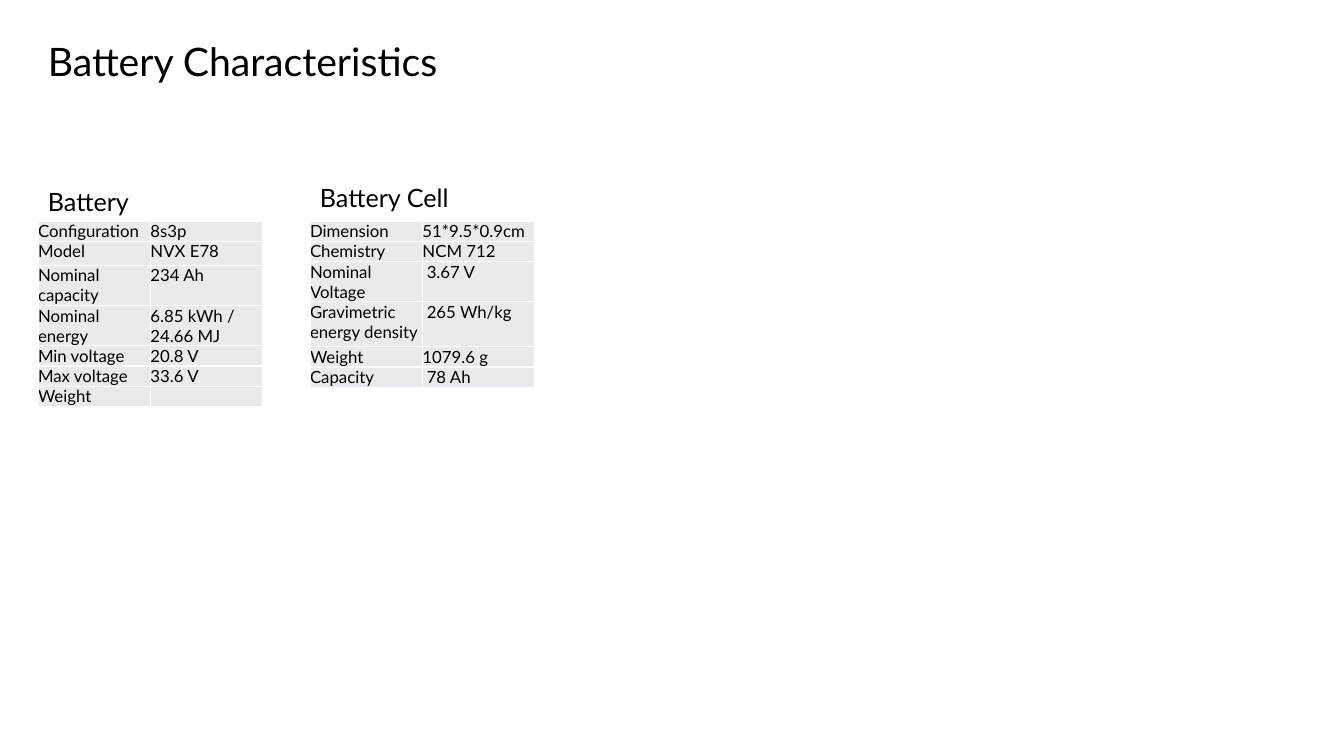
from lxml import etree
from pptx import Presentation
from pptx.dml.color import RGBColor
from pptx.enum.text import MSO_AUTO_SIZE
from pptx.oxml.ns import qn
from pptx.util import Emu, Pt

FIT_SHAPE = MSO_AUTO_SIZE.SHAPE_TO_FIT_TEXT
BLACK = RGBColor(0x00, 0x00, 0x00)
WHITE = RGBColor(0xFF, 0xFF, 0xFF)
CELL_GREY = RGBColor(0xE8, 0xEA, 0xED)

EMU_PER_PX = 914400 / 100.8
BATTERY_LEFT, CELL_LEFT = 38, 310
TABLE_TOP, TABLE_WIDTH = 221, 225

BATTERY_ROWS = [
    (20, "Configuration", "8s3p"),
    (24, "Model", "NVX E78"),
    (40, "Nominal capacity", "234 Ah"),
    (40, "Nominal energy", "6.85 kWh / 24.66 MJ"),
    (20, "Min voltage", "20.8 V"),
    (20, "Max voltage", "33.6 V"),
    (20, "Weight", ""),
]
CELL_ROWS = [
    (20, "Dimension", "51*9.5*0.9cm"),
    (20, "Chemistry", "NCM 712"),
    (40, "Nominal Voltage", " 3.67 V"),
    (45, "Gravimetric energy density", " 265 Wh/kg"),
    (20, "Weight", "1079.6 g"),
    (20, "Capacity", " 78 Ah"),
]


def px(length):
    return Emu(round(length * EMU_PER_PX))


class SlideBuilder:
    font_name = "Lato"
    table_size = 12

    def __init__(self, slide):
        self.slide = slide

    def style(self, paragraph, size):
        paragraph.font.name = self.font_name
        paragraph.font.size = Pt(size)
        paragraph.font.color.rgb = BLACK

    def heading(self, text, left, top, width, height, size):
        box = self.slide.shapes.add_textbox(px(left), px(top), px(width), px(height))
        frame = box.text_frame
        frame.word_wrap = True
        frame.auto_size = FIT_SHAPE
        frame.text = text
        self.style(frame.paragraphs[0], size)

    def borders(self, cell):
        """Give all four sides of the cell a thin white line."""
        properties = cell._tc.get_or_add_tcPr()
        for side in ("a:lnL", "a:lnR", "a:lnT", "a:lnB"):
            line = etree.SubElement(properties, qn(side), w=str(Pt(1)))
            fill = etree.SubElement(line, qn("a:solidFill"))
            etree.SubElement(fill, qn("a:srgbClr"), val=str(WHITE))

    def table_cell(self, cell, text):
        cell.margin_left = cell.margin_right = cell.margin_top = cell.margin_bottom = 0
        self.borders(cell)
        cell.fill.solid()
        cell.fill.fore_color.rgb = CELL_GREY
        cell.text = text
        paragraph = cell.text_frame.paragraphs[0]
        if not text:
            # An empty cell takes its line height from the paragraph end mark.
            paragraph._p.get_or_add_endParaRPr().set("sz", str(self.table_size * 100))
        self.style(paragraph, self.table_size)

    def table(self, rows, left, top, width):
        """Draw rows given as (height, label, value)."""
        total_height = sum(height for height, *_ in rows)
        table = self.slide.shapes.add_table(
            len(rows), 2, px(left), px(top), px(width), px(total_height)
        ).table
        table.first_row = False
        table.horz_banding = False
        for row, (height, *texts) in zip(table.rows, rows):
            row.height = px(height)
            for cell, text in zip(row.cells, texts):
                self.table_cell(cell, text)


def main():
    presentation = Presentation()
    presentation.slide_width = px(1344)
    presentation.slide_height = px(756)
    blank = presentation.slide_layouts[6]
    builder = SlideBuilder(presentation.slides.add_slide(blank))

    builder.table(BATTERY_ROWS, BATTERY_LEFT, TABLE_TOP, TABLE_WIDTH)
    builder.table(CELL_ROWS, CELL_LEFT, TABLE_TOP, TABLE_WIDTH)
    builder.heading("Battery", BATTERY_LEFT, 181, TABLE_WIDTH, 40, size=18)
    builder.heading("Battery Cell", CELL_LEFT, 177, TABLE_WIDTH, 40, size=18)
    builder.heading("Battery Characteristics", BATTERY_LEFT, 32, 1040, 57, size=28)

    presentation.save("out.pptx")


if __name__ == "__main__":
    main()
